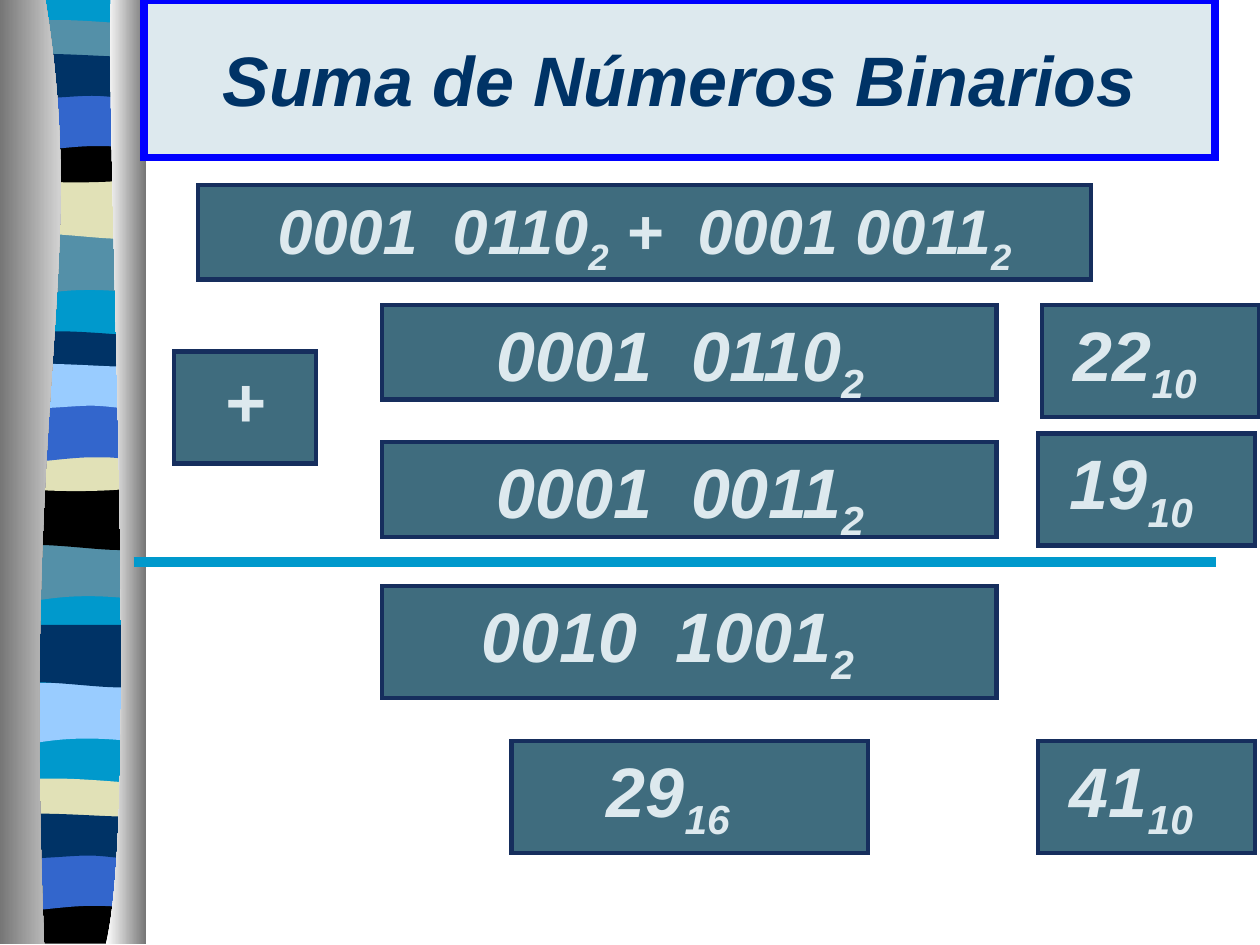
from lxml.etree import SubElement
from pptx import Presentation
from pptx.dml.color import RGBColor
from pptx.enum.shapes import MSO_CONNECTOR, MSO_SHAPE
from pptx.enum.text import MSO_ANCHOR, PP_ALIGN
from pptx.oxml.ns import qn
from pptx.util import Inches, Pt

THEME = {
    "font": "Arial", "title": 40, "sum": 36, "number": 40,
    "pale": "DDE9EE", "navy": "003366", "blue": "0000FF",
    "box": "3F6C7E", "edge": "162E5D",
    "cyan": "0099CC", "teal": "5490A8", "sand": "E1E1B7",
    "royal": "3366CC", "sky": "99CCFF", "black": "000000",
    "gray": "767676", "white": "FFFFFF",
}

# Content: runs alternate between normal text and subscript
TITLE = "Suma de Números Binarios"
SUM = ["0001  0110", "2", " +  0001 0011", "2"]
ROW_X, ROW_W, ROW_H, TALL_H = 3.03, 4.88, 0.75, 0.89
DEC_X, DEC_W = 8.24, 1.72
# runs, left, top, width, height, shift of the text to the left
NUMBERS = [
    (["0001  0110", "2"], ROW_X, 2.42, ROW_W, ROW_H, 0.07),
    (["29", "16"], 4.06, 5.88, 2.83, TALL_H, 0.17),
    (["0001  0011", "2"], ROW_X, 3.51, ROW_W, ROW_H, 0.07),
    (["0010  1001", "2"], ROW_X, 4.65, ROW_W, TALL_H, 0.17),
    (["+"], 1.38, 2.79, 1.13, TALL_H, 0),
    (["22", "10"], 8.27, 2.42, DEC_W, TALL_H, 0.12),
    (["19", "10"], DEC_X, 3.44, DEC_W, TALL_H, 0.12),
    (["41", "10"], DEC_X, 5.88, DEC_W, TALL_H, 0.12),
]

# Band outlines from the top right corner: 2 values a line, 6 a Bezier curve
BAND_W = 1.06
BANDS = {
    "dip": [(BAND_W, 0.47), (0.33, 0.38, 0.18, 0.54, 0, 0.47), (0, 0)],
    "wave": [(BAND_W, 0.47), (0.89, 0.55, 0.33, 0.41, 0, 0.47), (0, 0)],
    "arch": [(BAND_W, 0.25), (0.89, 0.29, 0.18, 0.29, 0, 0.25), (0, 0),
             (0.07, -0.05, 0.24, -0.04, 0.41, -0.04),
             (0.59, -0.04, 0.93, -0.01, BAND_W, 0)],
    "bowl": [(BAND_W, 0.33), (0.89, 0.38, 0.18, 0.38, 0, 0.33), (0, 0),
             (0.66, 0.05, 0.84, 0, BAND_W, 0)],
    "base": [(BAND_W, 0.37), (0, 0.37), (0, 0),
             (0.66, 0.05, 0.84, 0, BAND_W, 0)],
    "bridge": [(BAND_W, 0.47), (0.9, 0.42, 0.84, 0.42, 0.66, 0.42),
               (0.48, 0.42, 0.17, 0.47, 0, 0.47), (0, 0)],
    "ripple": [(BAND_W, 0.31), (0.99, 0.36, 0.83, 0.31, 0.65, 0.31),
               (0.47, 0.31, 0.11, 0.36, 0, 0.31), (0, 0),
               (0.15, -0.05, 0.72, 0, 0.9, 0), (BAND_W, 0)],
}
# outline, colour, left, top; later bands overlap earlier ones
RIBBON = [
    ("dip", "teal", 0.07, 1.86), ("wave", "sand", 0.08, 1.4),
    ("arch", "teal", 0.08, 0.2), ("bowl", "black", 0.07, 1.08),
    ("bridge", "royal", 0.08, 0.74), ("ripple", "navy", 0.08, 0.45),
    ("dip", "teal", 0.06, 4.29), ("wave", "black", 0.07, 3.87),
    ("arch", "navy", 0.07, 2.67), ("bowl", "sand", 0.07, 3.53),
    ("bridge", "royal", 0.07, 3.21), ("ripple", "sky", 0.07, 2.91),
    ("dip", "sky", 0.05, 5.42), ("wave", "navy", 0.06, 4.96),
    ("arch", "sand", 0.06, 6.22), ("base", "black", 0.06, 7.12),
    ("bridge", "royal", 0.05, 6.77), ("ripple", "navy", 0.05, 6.48),
]
# start, outline, colours from left to right
SHADES = [
    ((0.36, 0), [(0.71, 2.16, 0.17, 2.96, 0.35, 7.49), (0, 7.49), (0, 0)],
     ("gray", "white")),
    ((0.88, 0), [(0.84, 1.25, 1.11, 6.46, 0.84, 7.49), (1.16, 7.49), (1.16, 0)],
     ("white", "gray")),
]


def color(name):
    return RGBColor.from_string(THEME[name])


def add_outline(s, start, segments, left=0, top=0):
    """Freeform whose 6-value segments become real Bezier curves."""
    points = [start] + [seg[i:i + 2] for seg in segments for i in range(0, len(seg), 2)]
    points = [(Inches(left + x), Inches(top + y)) for x, y in points]
    builder = s.shapes.build_freeform(*points[0])
    builder.add_line_segments(points[1:], close=True)
    sp = builder.convert_to_shape()
    lines = iter(list(sp._element.iter(qn("a:lnTo"))))
    for seg in segments:
        first = next(lines)
        if len(seg) == 6:
            first.tag = qn("a:cubicBezTo")
            for _ in range(2):
                extra = next(lines)
                first.append(extra[0])
                extra.getparent().remove(extra)
    sp.shadow.inherit = False
    sp.line.fill.background()
    return sp


def add_box(s, left, top, width, height, fill, line=None, weight=0):
    sp = s.shapes.add_shape(MSO_SHAPE.RECTANGLE, Inches(left), Inches(top),
                            Inches(width), Inches(height))
    sp.shadow.inherit = False
    sp.fill.solid()
    sp.fill.fore_color.rgb = color(fill)
    if line:
        sp.line.color.rgb = color(line)
        sp.line.width = Pt(weight)
        SubElement(sp.line._get_or_add_ln(), qn("a:miter"), lim="800000")
    else:
        sp.line.fill.background()
    return sp


def set_text(sp, runs, size, ink="pale", anchor=MSO_ANCHOR.TOP, before=0, shift=0):
    tf = sp.text_frame
    tf.word_wrap = True
    tf.vertical_anchor = anchor
    tf.margin_right = Inches(0.1 + 2 * shift)
    p = tf.paragraphs[0]
    p.alignment = PP_ALIGN.CENTER
    p.space_before = Pt(before)
    for i, text in enumerate(runs):
        r = p.add_run()
        r.text = text
        r.font.name = THEME["font"]
        r.font.size = Pt(size)
        r.font.bold = r.font.italic = True
        r.font.color.rgb = color(ink)
        if i % 2:
            r._r.get_or_add_rPr().set("baseline", "-25000")


def main():
    prs = Presentation()
    prs.slide_width, prs.slide_height = Inches(10), Inches(7.5)
    s = prs.slides.add_slide(prs.slide_layouts[6])

    # Ribbon of coloured bands
    add_box(s, 0.08, 0, BAND_W, 7.46, "cyan")
    for outline, fill, left, top in RIBBON:
        sp = add_outline(s, (BAND_W, 0), BANDS[outline], left, top)
        sp.fill.solid()
        sp.fill.fore_color.rgb = color(fill)

    # Shaded sides of the ribbon
    for start, segments, ends in SHADES:
        sp = add_outline(s, start, segments)
        sp.fill.gradient()
        sp.fill.gradient_angle = 0
        for stop, name in zip(sp.fill.gradient_stops, ends):
            stop.color.rgb = color(name)

    # Title
    sp = add_box(s, 1.14, 0, 8.5, 1.25, "pale", "blue", 4.5)
    set_text(sp, [TITLE], THEME["title"], ink="navy", anchor=MSO_ANCHOR.MIDDLE)

    # Sum and its numbers
    sp = add_box(s, 1.57, 1.47, 7.09, ROW_H, "box", "edge", 2.5)
    set_text(sp, SUM, THEME["sum"], before=9)
    for runs, left, top, width, height, shift in NUMBERS:
        sp = add_box(s, left, top, width, height, "box", "edge", 2.5)
        set_text(sp, runs, THEME["number"], before=10, shift=shift)

    # Rule above the result
    rule = s.shapes.add_connector(MSO_CONNECTOR.STRAIGHT, Inches(1.06), Inches(4.46),
                                  Inches(9.65), Inches(4.46))
    rule.line.color.rgb = color("cyan")
    rule.line.width = Pt(6)
    SubElement(rule._element.spPr, qn("a:effectLst"))

    prs.save("out.pptx")


if __name__ == "__main__":
    main()
